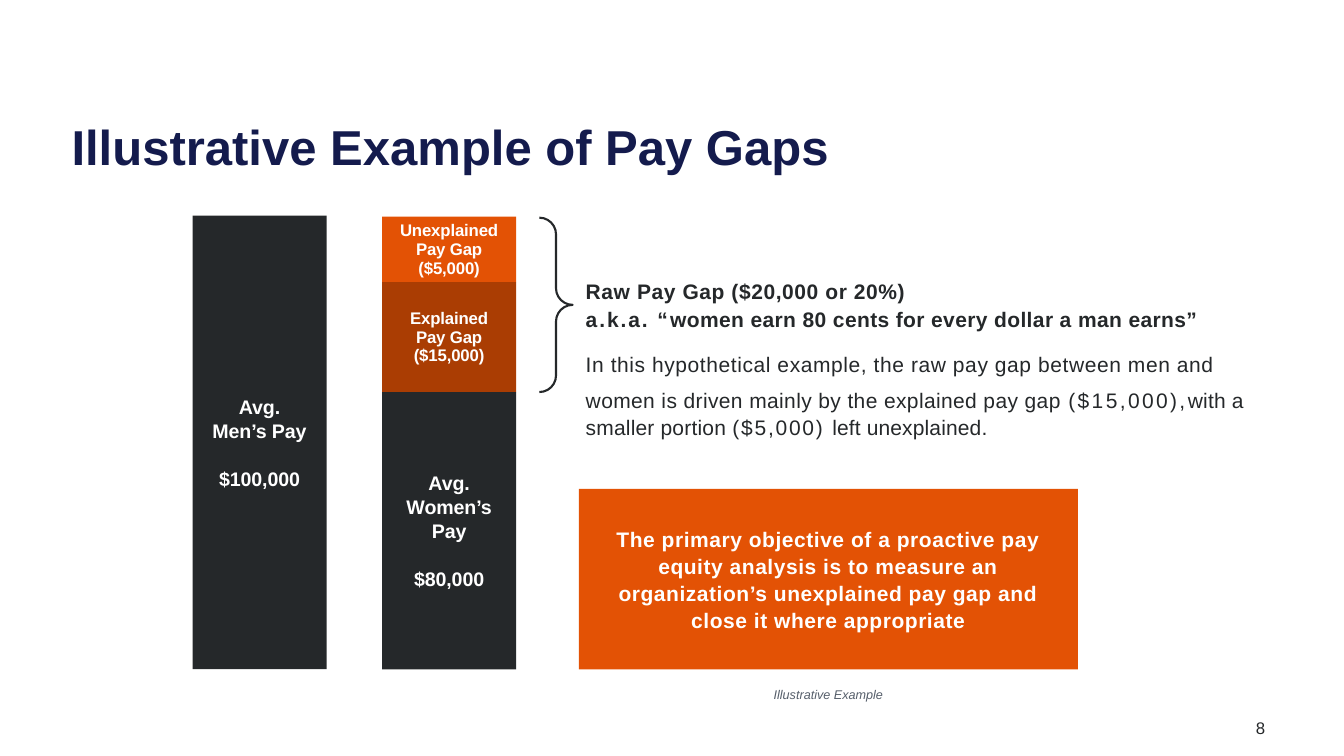
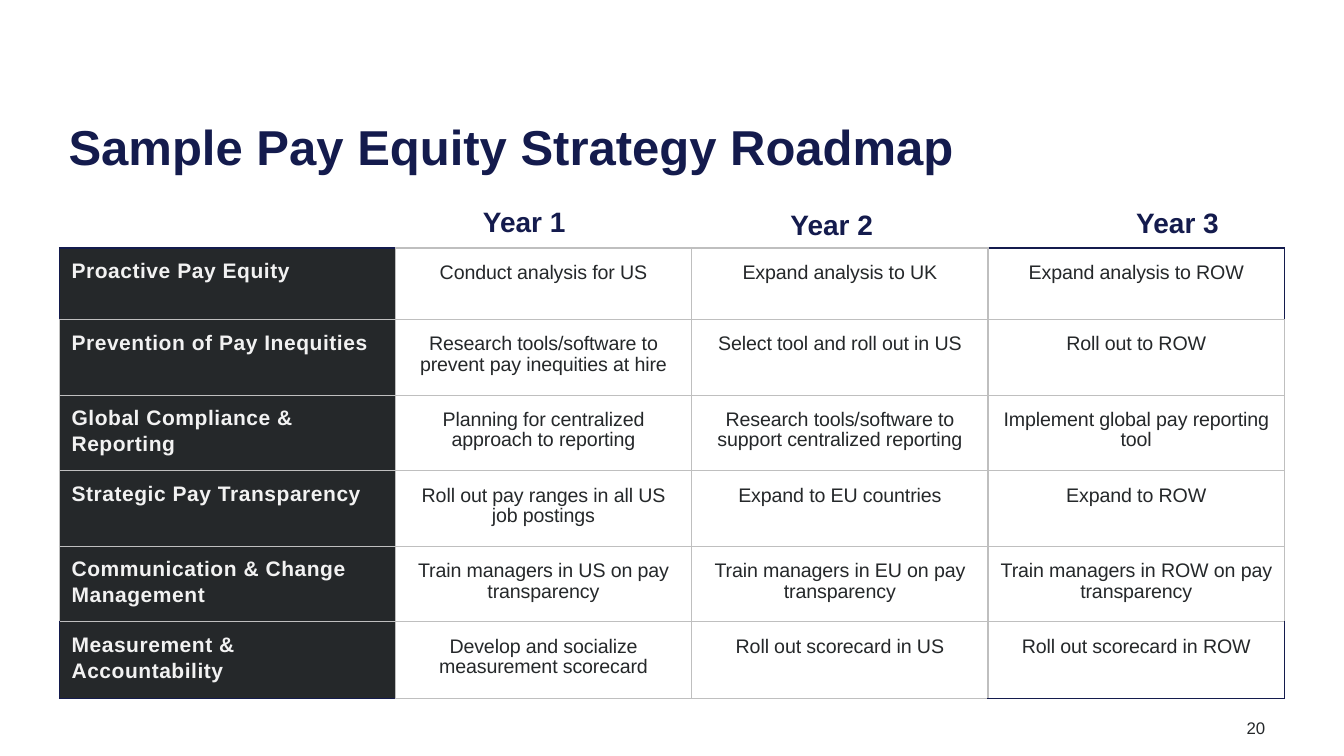
from lxml import etree
from pptx import Presentation
from pptx.dml.color import RGBColor
from pptx.enum.shapes import MSO_SHAPE
from pptx.enum.text import MSO_ANCHOR, MSO_AUTO_SIZE, PP_ALIGN
from pptx.oxml.ns import qn
from pptx.util import Inches, Pt

RECTANGLE, RIGHT_BRACE = MSO_SHAPE.RECTANGLE, MSO_SHAPE.RIGHT_BRACE
LEFT, CENTER, RIGHT = PP_ALIGN.LEFT, PP_ALIGN.CENTER, PP_ALIGN.RIGHT
TOP, MIDDLE = MSO_ANCHOR.TOP, MSO_ANCHOR.MIDDLE

FONT = "Arial"
COLORS = {
    "navy": "141B4D", "charcoal": "25282A", "orange": "E35205", "rust": "AA3D03",
    "slate": "555E6A", "border": "BFBFBF", "label": "F2F2F2", "white": "FFFFFF",
}

# Bars: left, top, width, height, fill, font size, line pitch, lines, gap before last line
BAR_WIDTH, BAR_BOTTOM = 1.33, 6.64
MEN_LEFT, WOMEN_LEFT = 1.91, 3.79
BARS = [
    (MEN_LEFT, 2.14, BAR_BOTTOM, "charcoal", 14, 17.1, ["Avg.", "Men’s Pay", "$100,000"], 17),
    (WOMEN_LEFT, 2.15, 2.8, "orange", 12, 13.4, ["Unexplained", "Pay Gap", "($5,000)"], 0),
    (WOMEN_LEFT, 2.8, 3.89, "rust", 12, 13.4, ["Explained", "Pay Gap", "($15,000)"], 0),
    (WOMEN_LEFT, 3.89, BAR_BOTTOM, "charcoal", 14, 17.1,
     ["Avg.", "Women’s", "Pay", "$80,000"], 17),
]

# Paragraphs: space before, bold, runs of (text, letter spacing)
EXPLANATION = [
    (0, True, [("Raw Pay Gap ($20,000 or 20%)", 0.42)]),
    (0, True, [("a.k.a. “", 1.4), ("women earn 80 cents for every dollar a man earns”", 0.27)]),
    (12.9, False, [("In this hypothetical example, the raw pay gap between men and", 0.42)]),
    (7, False, [("women is driven mainly by the explained pay gap ", 0.28), ("($15,000),", 1.7),
                ("with a smaller portion ", 0.15), ("($5,000) ", 1.25),
                ("left unexplained.", 0.1)]),
]
OBJECTIVE = ("The primary objective of a proactive pay equity analysis is to measure an "
             "organization’s unexplained pay gap and close it where appropriate")
CALLOUT_LEFT, CALLOUT_WIDTH = 5.74, 4.95

YEARS = [("Year 1", 5.2, 2.03), ("Year 2", 8.25, 2.06), ("Year 3", 11.68, 2.04)]
ROADMAP = [
    ("Proactive Pay Equity", "Conduct analysis for US", "Expand analysis to UK",
     "Expand analysis to ROW"),
    ("Prevention of Pay Inequities", "Research tools/software to prevent pay inequities at hire",
     "Select tool and roll out in US", "Roll out to ROW"),
    ("Global Compliance & Reporting", "Planning for centralized approach to reporting",
     "Research tools/software to support centralized reporting",
     "Implement global pay reporting tool"),
    ("Strategic Pay Transparency", "Roll out pay ranges in all US job postings",
     "Expand to EU countries", "Expand to ROW"),
    ("Communication & Change Management", "Train managers in US on pay transparency",
     "Train managers in EU on pay transparency", "Train managers in ROW on pay transparency"),
    ("Measurement & Accountability", "Develop and socialize measurement scorecard",
     "Roll out scorecard in US", "Roll out scorecard in ROW"),
]
COLUMN_WIDTHS = [3.33, 2.94, 2.94, 2.94]
ROW_HEIGHTS = [0.71, 0.75, 0.75, 0.75, 0.75, 0.76]
SIDE_MARGINS = [(0.12, 0.1), (0.15, 0.15), (0.15, 0.15), (0.06, 0.06)]


def color(name):
    return RGBColor.from_string(COLORS[name])


def format_paragraph(paragraph, size, color_name, bold=False, italic=False,
                     align=LEFT, pitch=None, before=0, spacing=0):
    """Style a paragraph and its runs; pitch, before and spacing are in points."""
    paragraph.alignment = align
    paragraph.space_before = Pt(before)
    if pitch:
        paragraph.line_spacing = Pt(pitch)
    for run in paragraph.runs:
        font = run.font
        font.name, font.size, font.bold, font.italic = FONT, Pt(size), bold, italic
        font.color.rgb = color(color_name)
        set_letter_spacing(run, spacing)


def set_letter_spacing(run, points):
    run._r.get_or_add_rPr().set("spc", str(round(points * 100)))


def prepare_frame(text_frame, anchor=TOP, side=0):
    text_frame.word_wrap = True
    text_frame.auto_size = MSO_AUTO_SIZE.NONE
    text_frame.vertical_anchor = anchor
    text_frame.margin_top = text_frame.margin_bottom = 0
    text_frame.margin_left = text_frame.margin_right = Inches(side)


def add_text(slide, left, top, width, height, text, size, color_name, **style):
    box = slide.shapes.add_textbox(Inches(left), Inches(top), Inches(width), Inches(height))
    prepare_frame(box.text_frame)
    box.text_frame.text = text
    format_paragraph(box.text_frame.paragraphs[0], size, color_name, **style)
    return box


def add_block(slide, left, top, width, height, fill, side=0):
    shape = slide.shapes.add_shape(RECTANGLE, Inches(left), Inches(top),
                                   Inches(width), Inches(height))
    shape.shadow.inherit = False
    shape.fill.solid()
    shape.fill.fore_color.rgb = color(fill)
    shape.line.fill.background()
    prepare_frame(shape.text_frame, MIDDLE, side)
    return shape


def add_titled_slide(presentation, title_text, title_left, page_number):
    slide = presentation.slides.add_slide(presentation.slide_layouts[5])
    title = slide.shapes.title
    title.left, title.top = Inches(title_left), Inches(1.16)
    title.width, title.height = Inches(11.5), Inches(0.57)
    prepare_frame(title.text_frame)
    title.text_frame.text = title_text
    format_paragraph(title.text_frame.paragraphs[0], 35, "navy", bold=True)
    add_text(slide, 12.05, 7.12, 0.5, 0.19, page_number, 12, "charcoal", align=RIGHT)
    return slide


def add_brace(slide):
    brace = slide.shapes.add_shape(RIGHT_BRACE, Inches(5.35), Inches(2.16),
                                   Inches(0.33), Inches(1.73))
    brace.adjustments[0] = 0.5
    brace.shadow.inherit = False
    brace.fill.background()
    brace.line.color.rgb = color("charcoal")
    brace.line.width = Pt(1.5)


def build_pay_gap_slide(presentation):
    slide = add_titled_slide(presentation, "Illustrative Example of Pay Gaps", 0.71, "8")
    for left, top, bottom, fill, size, pitch, lines, gap in BARS:
        bar = add_block(slide, left, top, BAR_WIDTH, bottom - top, fill)
        bar.text_frame.text = "\n".join(lines)
        for paragraph in bar.text_frame.paragraphs:
            format_paragraph(paragraph, size, "white", bold=True, align=CENTER,
                             pitch=pitch, spacing=-0.1)
        bar.text_frame.paragraphs[-1].space_before = Pt(gap)
    add_brace(slide)

    box = slide.shapes.add_textbox(Inches(5.81), Inches(2.75), Inches(6.9), Inches(1.7))
    frame = box.text_frame
    prepare_frame(frame)
    for index, (before, bold, runs) in enumerate(EXPLANATION):
        paragraph = frame.add_paragraph() if index else frame.paragraphs[0]
        for text, _ in runs:
            paragraph.add_run().text = text
        format_paragraph(paragraph, 15, "charcoal", bold=bold, pitch=19.3, before=before)
        for run, (_, spacing) in zip(paragraph.runs, runs):
            set_letter_spacing(run, spacing)

    callout = add_block(slide, CALLOUT_LEFT, 4.85, CALLOUT_WIDTH, 1.79, "orange", side=0.3)
    callout.text_frame.text = OBJECTIVE
    format_paragraph(callout.text_frame.paragraphs[0], 15, "white", bold=True,
                     align=CENTER, pitch=19.3, spacing=0.4)
    add_text(slide, CALLOUT_LEFT, 6.81, CALLOUT_WIDTH, 0.15, "Illustrative Example",
             9, "slate", italic=True, align=CENTER)


def set_borders(cell, side_colors):
    properties = cell._tc.get_or_add_tcPr()
    for side, name in side_colors.items():
        line = etree.SubElement(properties, qn(f"a:ln{side}"), w=str(Pt(1)))
        fill = etree.SubElement(line, qn("a:solidFill"))
        etree.SubElement(fill, qn("a:srgbClr"), val=COLORS[name])


def border_colors(row, column):
    """Grey everywhere, navy on the outer edges of the four corner cells."""
    sides = dict.fromkeys("LRTB", "border")
    last_row, last_column = len(ROADMAP) - 1, len(COLUMN_WIDTHS) - 1
    if row in (0, last_row) and column in (0, last_column):
        sides["L" if column == 0 else "R"] = "navy"
        sides["T" if row == 0 else "B"] = "navy"
    return sides


def build_roadmap_slide(presentation):
    slide = add_titled_slide(presentation, "Sample Pay Equity Strategy Roadmap", 0.68, "20")
    table = slide.shapes.add_table(
        len(ROADMAP), len(COLUMN_WIDTHS), Inches(0.59), Inches(2.46),
        Inches(sum(COLUMN_WIDTHS)), Inches(sum(ROW_HEIGHTS))).table
    table.first_row = table.horz_banding = False
    for column, width in zip(table.columns, COLUMN_WIDTHS):
        column.width = Inches(width)
    for row, height in zip(table.rows, ROW_HEIGHTS):
        row.height = Inches(height)

    for row_index, texts in enumerate(ROADMAP):
        for column_index, text in enumerate(texts):
            is_label = column_index == 0
            cell = table.cell(row_index, column_index)
            set_borders(cell, border_colors(row_index, column_index))
            cell.fill.solid()
            cell.fill.fore_color.rgb = color("charcoal" if is_label else "white")
            cell.vertical_anchor = TOP
            left, right = SIDE_MARGINS[column_index]
            cell.margin_left, cell.margin_right = Inches(left), Inches(right)
            cell.margin_top, cell.margin_bottom = Inches(0.09 if is_label else 0.15), 0
            cell.text = text
            paragraph = cell.text_frame.paragraphs[0]
            if is_label:
                format_paragraph(paragraph, 15, "label", bold=True, pitch=18.5, spacing=0.4)
            else:
                format_paragraph(paragraph, 14, "charcoal", align=CENTER,
                                 pitch=14.6, spacing=-0.1)

    year_width = 1.2
    for text, center, top in YEARS:
        add_text(slide, center - year_width / 2, top, year_width, 0.32, text,
                 20, "navy", bold=True, align=CENTER)


def main():
    presentation = Presentation()
    presentation.slide_width, presentation.slide_height = Inches(13.33), Inches(7.5)
    build_pay_gap_slide(presentation)
    build_roadmap_slide(presentation)
    presentation.save("out.pptx")


if __name__ == "__main__":
    main()
